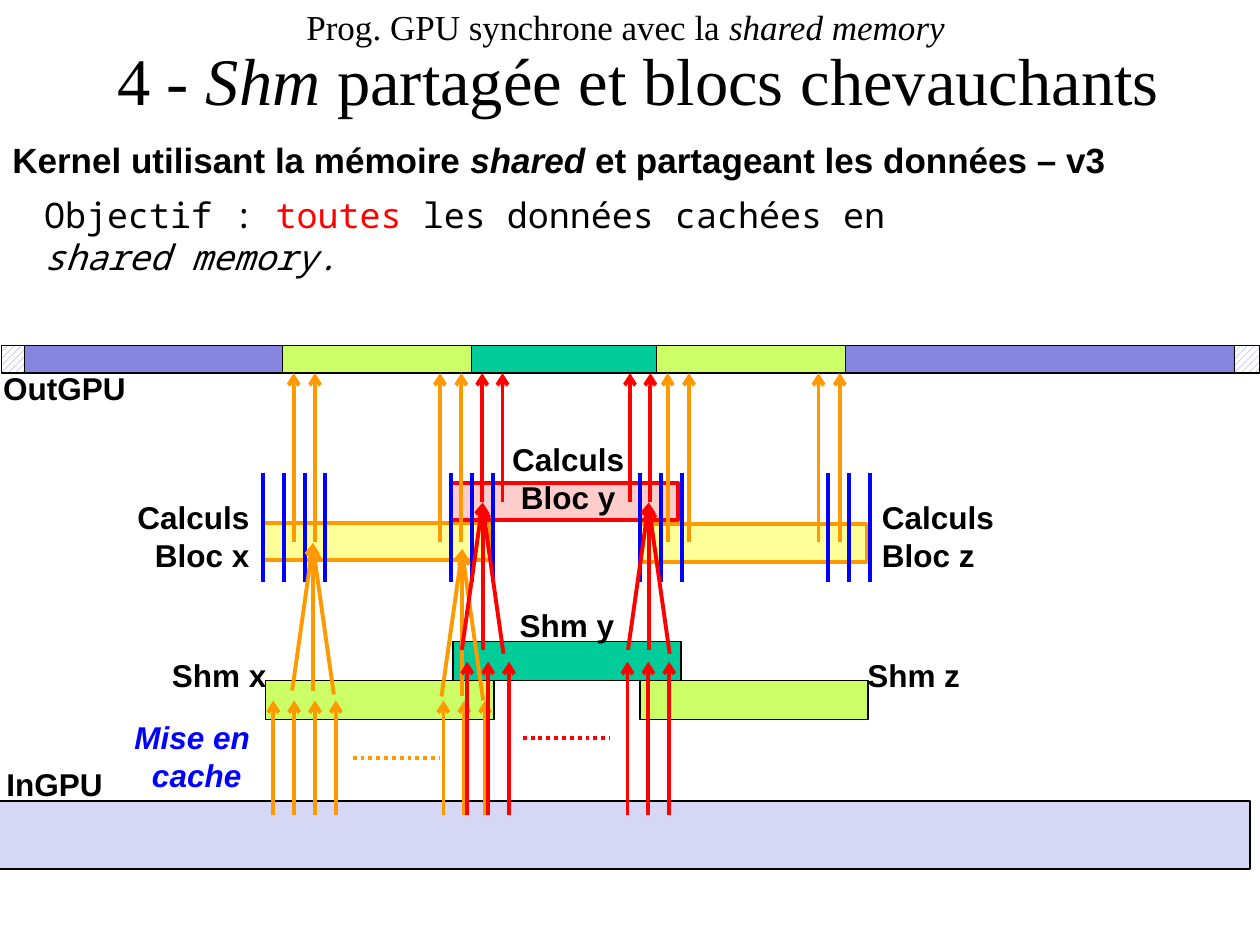
from pptx import Presentation
from pptx.dml.color import RGBColor
from pptx.enum.dml import MSO_LINE, MSO_PATTERN
from pptx.enum.shapes import MSO_CONNECTOR, MSO_SHAPE
from pptx.enum.text import MSO_ANCHOR, MSO_AUTO_SIZE, PP_ALIGN
from pptx.oxml.ns import qn
from pptx.util import Cm, Pt
from lxml.etree import SubElement

HUES = {
    "black": "000000", "white": "FFFFFF", "red": "FF0000", "blue": "0000FF",
    "orange": "FF9900", "yellow": "FFFF99", "pink": "FFCCCC", "lime": "CCFF66",
    "teal": "00CC99", "violet": "8585E0", "lilac": "D6D6F5",
}
TITLE = {"name": "Times New Roman", "size": Pt(20), "bold": False}
LABEL = {"name": "Arial", "size": Pt(18), "bold": True}
LEAD = {"name": "Arial", "size": Pt(20), "bold": True}
CODE = {"name": "Noto Sans Mono", "size": Pt(20), "bold": False}
ITALIC = {"italic": True}
LEFT, MID, RIGHT = PP_ALIGN.LEFT, PP_ALIGN.CENTER, PP_ALIGN.RIGHT
PITCH = 3.8


def hue(name):
    """Return the named colour."""
    return RGBColor.from_string(HUES[name])


def style(item, form):
    """Set each attribute listed in the format."""
    for key, value in form.items():
        setattr(item, key, value)


def write(para, words, form, tint="black"):
    """Add one formatted run to a paragraph."""
    run = para.add_run()
    run.text = words
    style(run.font, form)
    run.font.color.rgb = hue(tint)


def text(slide, x, y, w, h, wrap=False):
    """Add a text box and return its frame."""
    frame = slide.shapes.add_textbox(Cm(x), Cm(y), Cm(w), Cm(h)).text_frame
    frame.word_wrap = wrap
    return frame


def label(slide, x, y, w, lines, align=MID, form=LABEL, tint="black"):
    """Add a label of one or more lines."""
    frame = text(slide, x, y, w, 0.24 + 0.78 * len(lines))
    for row, words in enumerate(lines):
        para = frame.add_paragraph() if row else frame.paragraphs[0]
        para.alignment = align
        write(para, words, form, tint)


def bar(slide, x, y, w, h, fill, edge="black", width=0.75, hatch=False):
    """Draw a rectangle, plain or hatched."""
    shape = slide.shapes.add_shape(MSO_SHAPE.RECTANGLE, Cm(x), Cm(y), Cm(w), Cm(h))
    shape.shadow.inherit = False
    if hatch:
        shape.fill.patterned()
        shape.fill.pattern = MSO_PATTERN.WIDE_UPWARD_DIAGONAL
        shape.fill.back_color.rgb = hue("white")
    else:
        shape.fill.solid()
    shape.fill.fore_color.rgb = hue(fill)
    shape.line.color.rgb = hue(edge)
    shape.line.width = Pt(width)


def line(slide, start, end, tint, arrow=False, dots=False):
    """Draw a straight line between two points."""
    ends = [Cm(v) for v in (*start, *end)]
    link = slide.shapes.add_connector(MSO_CONNECTOR.STRAIGHT, *ends)
    link.line.color.rgb = hue(tint)
    link.line.width = Pt(2.25)
    if dots:
        link.line.dash_style = MSO_LINE.ROUND_DOT
    if arrow:
        SubElement(link.line._get_or_add_ln(), qn("a:tailEnd"), type="arrow")
    SubElement(link._element.spPr, qn("a:effectLst"))


def rise(slide, box, starts, count, step, tint):
    """Draw runs of upward arrows spanning the height of the box."""
    x, y, _, h = box
    for start in starts:
        for i in range(count):
            across = x + start + i * step
            line(slide, (across, y + h), (across, y), tint, arrow=True)


def fan(slide, box, tint):
    """Draw three arrows that meet at the top middle of the box."""
    x, y, w, h = box
    tip = x + w / 2
    for foot, drop in ((x, 0), (x + w, 0.08), (tip, 0)):
        line(slide, (foot, y + h + drop), (tip, y + drop), tint, arrow=True)


def head(slide, box):
    """Fill the title and the two lines of introduction."""
    x, y, w, h = box
    title = slide.shapes.title
    style(title, {"left": Cm(x), "top": Cm(y), "width": Cm(w), "height": Cm(2.64)})
    frame = title.text_frame
    style(frame, {"word_wrap": True, "vertical_anchor": MSO_ANCHOR.MIDDLE,
                  "auto_size": MSO_AUTO_SIZE.NONE})
    para = frame.paragraphs[0]
    style(para, {"alignment": MID, "line_spacing": 0.9})
    big = TITLE | {"size": Pt(38)}
    write(para, "Prog. GPU synchrone avec la ", TITLE)
    write(para, "shared memory ", TITLE | ITALIC)
    para.add_line_break()
    write(para, " 4 - ", big)
    write(para, "Shm ", big | ITALIC)
    write(para, "partagée et blocs chevauchants", big)

    para = text(slide, x, y + 2.67, 22.8, 1.12).paragraphs[0]
    write(para, "Kernel utilisant la mémoire ", LEAD)
    write(para, "shared ", LEAD | ITALIC)
    write(para, "et partageant les données – v3", LEAD)

    para = text(slide, x + 0.64, y + 3.78, 18.67, 1.12, wrap=True).paragraphs[0]
    write(para, "Objectif : ", CODE)
    write(para, "toutes", CODE, "red")
    write(para, " les données cachées en ", CODE)
    write(para, "shared memory.", CODE | ITALIC)


def output(slide, box):
    """Draw the output strip with its blocks and hatched ends."""
    x, y, w, h = box
    bar(slide, x + 0.3, y, w - 0.6, h, "violet")
    for left, wide, fill in ((5.69, 3.81, "lime"), (13.23, 3.81, "lime"),
                             (9.5, 3.73, "teal")):
        bar(slide, x + left, y, wide, h, fill)
    for left, wide in ((0.03, 0.46), (w - 0.51, 0.51)):
        bar(slide, x + left, y, wide, h, "violet", hatch=True)
    label(slide, x - 0.2, y + 0.36, 3, ["OutGPU"])


def calc(slide, box):
    """Draw the overlapping computing blocks and their boundary ticks."""
    x, y, w, h = box
    for i, drop, fill, edge in ((0, 1.01, "yellow", "orange"),
                                (2, 1.04, "yellow", "orange"),
                                (1, 0.2, "pink", "red")):
        bar(slide, x + i * PITCH, y + drop, 4.57, 0.76, fill, edge, 2.25)
    for group, count in enumerate((4, 3, 3, 3)):
        for i in range(count):
            across = x + group * PITCH + i * 0.42
            line(slide, (across, y), (across, y + h), "blue")
    for left, drop, wide, name, align in ((4.76, -0.79, 2.79, "y", MID),
                                          (-2.81, 0.38, 2.79, "x", RIGHT),
                                          (12.23, 0.38, 2.97, "z", LEFT)):
        label(slide, x + left, y + drop, wide, ["Calculs", f"Bloc {name}"], align)


def cache(slide, box):
    """Draw the three shared memory blocks."""
    x, y, w, h = box
    for i, drop, fill in ((0, 0.79, "lime"), (2, 0.79, "lime"), (1, 0, "teal")):
        bar(slide, x + i * 3.77, y + drop, 4.6, 0.79, fill)
    for name, left, drop in (("x", -2.16, 0.18), ("y", 4.85, -0.84), ("z", 11.84, 0.18)):
        label(slide, x + left, y + drop, 2.44, [f"Shm {name}"])


def source(slide, box):
    """Draw the input strip and its labels."""
    x, y, w, h = box
    bar(slide, x, y, w, h, "lilac")
    label(slide, x + 0.07, y - 0.86, 2.46, ["InGPU"])
    label(slide, x + 2.64, y - 1.8, 3.05, ["Mise en ", "cache"],
          form=LABEL | ITALIC, tint="blue")


def load(slide, box, runs, dots, tint):
    """Draw the arrows that fill the cache, with dots between the runs."""
    x, y, _, h = box
    for start, count in runs:
        rise(slide, box, [start], count, 0.42, tint)
    mid = y + h / 2
    line(slide, (x + dots, mid), (x + dots + 1.75, mid), tint, dots=True)


def main():
    """Build and save the slide."""
    deck = Presentation()
    style(deck, {"slide_width": Cm(25.4), "slide_height": Cm(19.05)})
    slide = deck.slides.add_slide(deck.slide_layouts[5])
    head(slide, (0, 0, 25.4, 4.9))
    output(slide, (0, 6.96, 25.4, 0.56))
    calc(slide, (5.3, 9.53, 12.2, 2.2))
    source(slide, (-0.2, 16.15, 25.4, 1.37))
    cache(slide, (5.36, 12.93, 12.14, 1.58))
    rise(slide, (5.92, 7.52, 11, 3.4), (0, 2.95, 7.54, 10.58), 2, 0.43, "orange")
    rise(slide, (9.72, 7.52, 3.4, 2.61), (0, 2.98), 2, 0.41, "red")
    for x, y, tint in ((5.89, 10.95, "orange"), (8.9, 11.07, "orange"),
                       (9.31, 10.13, "red"), (12.66, 10.13, "red")):
        fan(slide, (x, y, 0.84, 2.97), tint)
    load(slide, (5.51, 14.12, 4.28, 2.31), ((0, 4), (3.43, 3)), 1.6, "orange")
    load(slide, (9.42, 13.34, 4.07, 3.09), ((0, 3), (3.23, 3)), 1.12, "red")
    deck.save("out.pptx")


if __name__ == "__main__":
    main()
